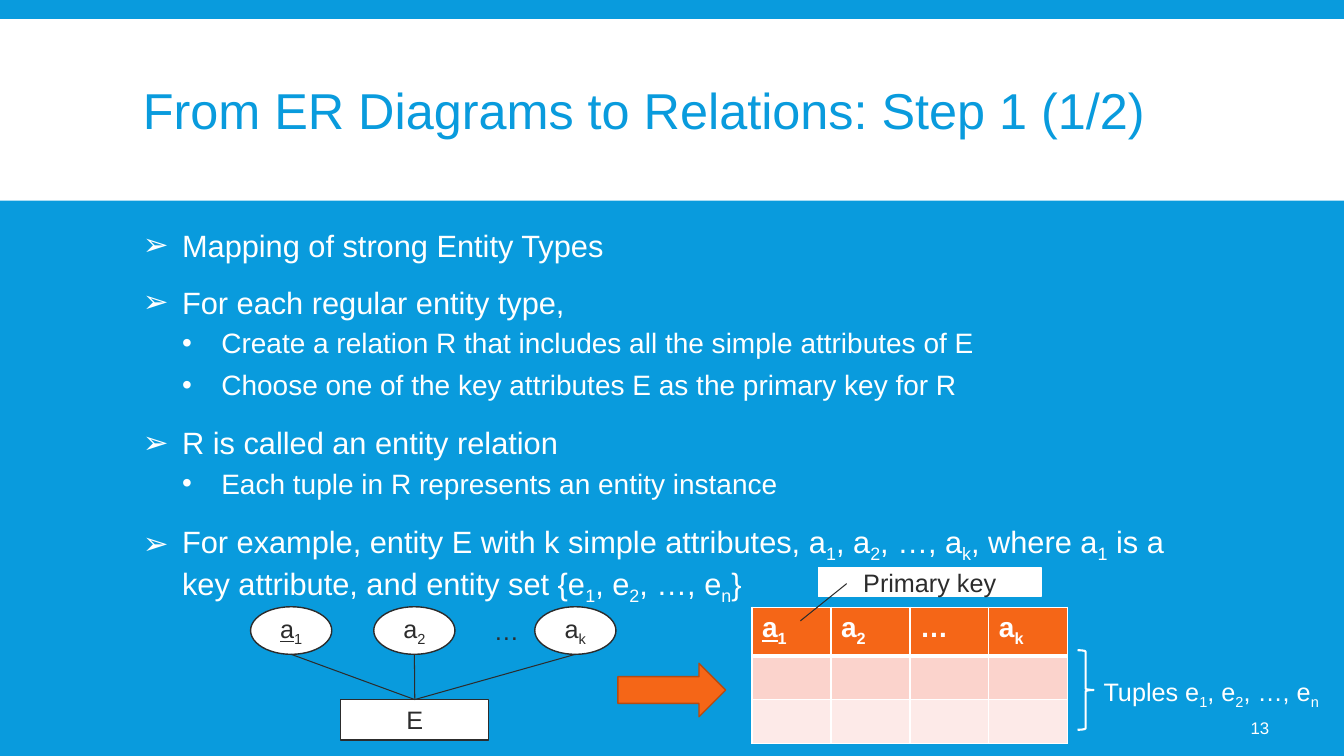
from lxml import etree
from pptx import Presentation
from pptx.dml.color import RGBColor
from pptx.enum.shapes import MSO_CONNECTOR, MSO_SHAPE
from pptx.enum.text import MSO_ANCHOR, PP_ALIGN
from pptx.oxml.ns import qn
from pptx.util import Pt

LINE = MSO_CONNECTOR.STRAIGHT
RECT, OVAL = MSO_SHAPE.RECTANGLE, MSO_SHAPE.OVAL
ARROW, BRACE = MSO_SHAPE.RIGHT_ARROW, MSO_SHAPE.RIGHT_BRACE
TOP, MIDDLE = MSO_ANCHOR.TOP, MSO_ANCHOR.MIDDLE
LEFT, CENTER, RIGHT = PP_ALIGN.LEFT, PP_ALIGN.CENTER, PP_ALIGN.RIGHT

FONT = "Arial"
BLUE, WHITE, DARK = "099BDD", "FFFFFF", "2C2C2C"
ORANGE, RUST = "F56617", "B54B11"
ROWS = [(ORANGE, 34), ("FBD3CC", 31.5), ("FDEAE8", 31.5)]
HEADS = ["a_1", "a_2", "…", "a_k"]
POINTS = [
    (0, "Mapping of strong Entity Types"),
    (0, "For each regular entity type,"),
    (1, "Create a relation R that includes all the simple attributes of E"),
    (1, "Choose one of the key attributes E as the primary key for R"),
    (0, "R is called an entity relation"),
    (1, "Each tuple in R represents an entity instance"),
    (0, "For example, entity E with k simple attributes, a_1, a_2, …, a_k, "
        "where a_1 is a key attribute, and entity set {e_1, e_2, …, e_n}"),
]
# bullet, size, indent, space before, space after
LEVELS = [("➢", 22, 28, 12, 2), ("•", 20, 56, 2, 4)]


def color(code):
    return RGBColor.from_string(code)


def write(para, text, size, ink, align=LEFT, key=False):
    """Set text where _ lowers the next letter; key underlines the first run."""
    font = para.font
    font.name, font.size, font.color.rgb = FONT, Pt(size), color(ink)
    para.alignment = align
    head, *tails = text.split("_")
    first = para.add_run()
    first.text = head
    if key:
        first.font.underline = True
    for tail in tails:
        sub = para.add_run()
        sub.text = tail[0]
        sub.font._element.set("baseline", "-25000")
        if tail[1:]:
            para.add_run().text = tail[1:]


def label(slide, box, text, size, ink, align=LEFT, anchor=TOP, wrap=True):
    frame = slide.shapes.add_textbox(*map(Pt, box)).text_frame
    frame.word_wrap, frame.vertical_anchor = wrap, anchor
    write(frame.paragraphs[0], text, size, ink, align)
    return frame


def shape(slide, kind, box, fill=None, edge=None, width=1, text="", key=False):
    item = slide.shapes.add_shape(kind, *map(Pt, box))
    item.shadow.inherit = False
    if fill:
        item.fill.solid()
        item.fill.fore_color.rgb = color(fill)
    else:
        item.fill.background()
    if edge:
        item.line.color.rgb = color(edge)
        item.line.width = Pt(width)
    else:
        item.line.fill.background()
    if text:
        frame = item.text_frame
        frame.vertical_anchor = MIDDLE
        write(frame.paragraphs[0], text, 18, DARK, CENTER, key)
    return item


def link(slide, start, end):
    line = slide.shapes.add_connector(LINE, *map(Pt, start + end))
    line.line.color.rgb = color(DARK)
    line.line.width = Pt(0.75)
    etree.SubElement(line._element.spPr, qn("a:effectLst"))
    return line


def bullet(para, mark, indent):
    props = para._p.get_or_add_pPr()
    props.set("marL", str(Pt(indent)))
    props.set("indent", str(-Pt(28)))
    tint = etree.SubElement(props, qn("a:buClr"))
    etree.SubElement(tint, qn("a:srgbClr")).set("val", WHITE)
    etree.SubElement(props, qn("a:buFont")).set("typeface", FONT)
    etree.SubElement(props, qn("a:buChar")).set("char", mark)


def body(slide):
    frame = slide.shapes.add_textbox(Pt(95), Pt(158.4), Pt(770.4), Pt(331)).text_frame
    frame.word_wrap = True
    for i, (level, text) in enumerate(POINTS):
        para = frame.add_paragraph() if i else frame.paragraphs[0]
        mark, size, indent, before, after = LEVELS[level]
        para.level = level
        para.line_spacing = 1.0
        para.space_before, para.space_after = Pt(before if i else 0), Pt(after)
        bullet(para, mark, indent)
        write(para, text, size, WHITE)


def border(cell, widths):
    """Draw white cell borders: left, right, top, bottom."""
    props = cell._tc.get_or_add_tcPr()
    for i, (side, width) in enumerate(zip("LRTB", widths)):
        line = etree.Element(qn("a:ln" + side), w=str(Pt(width)))
        fill = etree.SubElement(line, qn("a:solidFill"))
        etree.SubElement(fill, qn("a:srgbClr")).set("val", WHITE)
        props.insert(i, line)


def grid(slide):
    box = map(Pt, (537.2, 433.8, 225.6, 97))
    table = slide.shapes.add_table(len(ROWS), len(HEADS), *box).table
    for r, (fill, height) in enumerate(ROWS):
        table.rows[r].height = Pt(height)
        for c, head in enumerate(HEADS):
            cell = table.cell(r, c)
            cell.fill.solid()
            cell.fill.fore_color.rgb = color(fill)
            border(cell, (1, 1, 3 if r == 1 else 1, 3 if r == 0 else 1))
            if r == 0:
                para = cell.text_frame.paragraphs[0]
                write(para, head, 20, WHITE, key=c == 0)
                para.font.bold = True


def entity(slide):
    box = shape(slide, RECT, (243.4, 499.7, 105.8, 28.8), WHITE, DARK, text="E")
    for i, (left, text) in enumerate([(179, "a_1"), (267, "a_2"), (382, "a_k")]):
        shape(slide, OVAL, (left, 433.4, 58, 34), WHITE, DARK, text=text, key=i == 0)
        line = link(slide, (296.3, 499.7), (left + 29, 467.4))
        line.begin_connect(box, 0)
    label(slide, (345.6, 436.3, 32.4, 28.8), "…", 18, DARK, CENTER, wrap=False)


def main():
    deck = Presentation()
    deck.slide_width, deck.slide_height = Pt(960), Pt(540)
    slide = deck.slides.add_slide(deck.slide_layouts[6])
    back = slide.background.fill
    back.solid()
    back.fore_color.rgb = color(BLUE)

    shape(slide, RECT, (0, 13.7, 960, 129.6), WHITE)
    title = label(slide, (95, 22.3, 770.4, 118.8),
                  "From ER Diagrams to Relations: Step 1 (1/2)", 36, BLUE, anchor=MIDDLE)
    title.paragraphs[0].line_spacing = 0.85
    body(slide)
    label(slide, (839.5, 505.4, 74.2, 28.8), "13", 12, WHITE, RIGHT, MIDDLE)
    entity(slide)
    grid(slide)
    shape(slide, ARROW, (441.4, 473.8, 77, 38.2), ORANGE, RUST)
    shape(slide, BRACE, (769.7, 464.4, 11.5, 56.9), edge=WHITE, width=1.5)
    label(slide, (781.2, 479.5, 172, 28.8), "Tuples e_1, e_2, …, e_n", 18, WHITE)
    shape(slide, RECT, (584.6, 405.4, 159, 20.9), WHITE, WHITE, text="Primary key")
    link(slide, (604.8, 416.9), (571.7, 443.5))
    deck.save("out.pptx")


if __name__ == "__main__":
    main()
